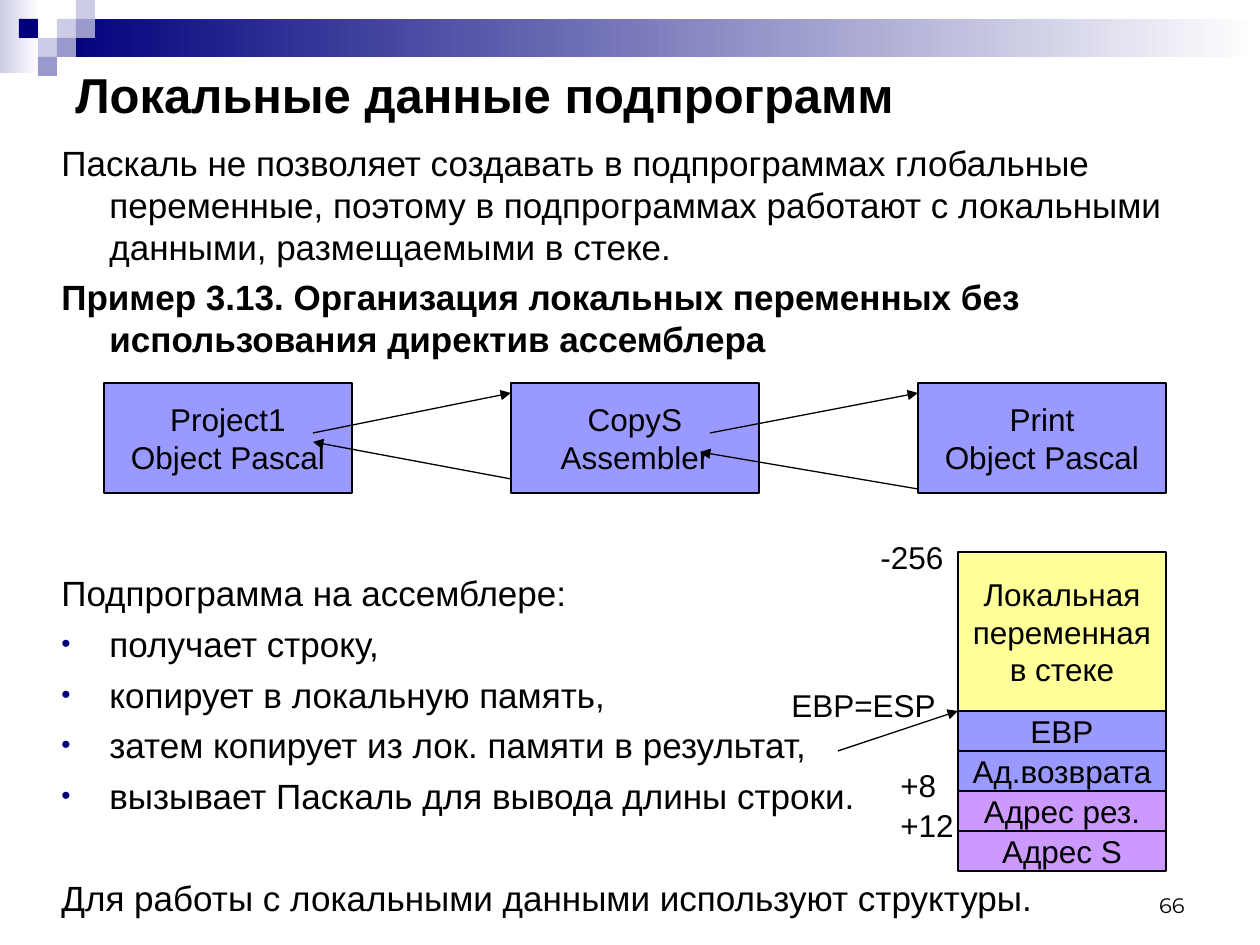
import pptx
import pptx.dml.color
import pptx.enum.shapes
import pptx.enum.text
import pptx.oxml
import pptx.oxml.ns
import pptx.util
from lxml import etree

PX = 7257  # EMU in one px, 126 px to the inch
ALIGN = pptx.enum.text.PP_ALIGN
ANCHOR = pptx.enum.text.MSO_ANCHOR
qn = pptx.oxml.ns.qn


def rgb(value):
    return pptx.dml.color.RGBColor.from_string(value)


def add_text(tf, text, size=18, font="Arial", bold=False, align=ALIGN.LEFT,
             before=0, hanging=0, bullet=False):
    """Write one paragraph, reusing the empty first one of the frame."""
    p = tf.paragraphs[0]
    if p.runs:
        p = tf.add_paragraph()
    pPr = p._p.get_or_add_pPr()
    if hanging:
        pPr.set("marL", str(hanging * PX))
        pPr.set("indent", str(-hanging * PX))
    p.alignment = align
    p.space_before = pptx.util.Pt(before)
    if bullet:
        color = etree.SubElement(pPr, qn("a:buClr"))
        etree.SubElement(color, qn("a:srgbClr"), val="00007D")
        etree.SubElement(pPr, qn("a:buSzPct"), val="75000")
        etree.SubElement(pPr, qn("a:buFont"), typeface="Arial")
        etree.SubElement(pPr, qn("a:buChar"), char="•")
    r = p.add_run()
    r.text = text
    r.font.size = pptx.util.Pt(size)
    r.font.name = font
    r.font.bold = bold
    r.font.color.rgb = rgb("000000")


prs = pptx.Presentation()
prs.slide_width = pptx.util.Inches(10)
prs.slide_height = pptx.util.Inches(7.5)
s = prs.slides.add_slide(prs.slide_layouts[6])

# Header: two gradient bands and a mosaic of squares
NAVY, PALE, MID = "00007D", "CCCCE6", "9999CC"
rects = [(0, 0, 39, 73, (PALE, "FFFFFF"), []),
         (57, 19, 1203, 38, (NAVY, "FFFFFF"), [])]
for col, row, fill in [(3, 1, PALE), (4, 0, PALE), (4, 1, MID), (2, 2, PALE),
                       (1, 1, NAVY), (3, 2, MID), (2, 3, MID)]:
    rects.append((col * 19, row * 19, 19, 19, fill, []))

# Modules of the program
BLUE, VIOLET, YELLOW = "9999FF", "CC99FF", "FFFF99"
modules = [("Project1", "Object Pascal"), ("СopyS", "Assembler"),
           ("Print", "Object Pascal")]
for i, lines in enumerate(modules):
    rects.append((104 + i * 407, 383, 248, 110, BLUE, lines))

# Stack
stack = [("EBP", BLUE), ("Aд.возврата", BLUE), ("Адрес рез.", VIOLET),
         ("Адрес S", VIOLET)]
rects.append((958, 552, 208, 159, YELLOW,
              ["Локальная", "переменная", "в стеке"]))
for i, (name, fill) in enumerate(stack):
    rects.append((958, 711 + i * 40, 208, 40, fill, [name]))

for x, y, w, h, fill, lines in rects:
    sp = s.shapes.add_shape(pptx.enum.shapes.MSO_SHAPE.RECTANGLE,
                            x * PX, y * PX, w * PX, h * PX)
    sp.shadow.inherit = False
    if isinstance(fill, tuple):
        sp.fill.gradient()
        sp.fill.gradient_angle = 0
        for stop, color in zip(sp.fill.gradient_stops, fill):
            stop.color.rgb = rgb(color)
    else:
        sp.fill.solid()
        sp.fill.fore_color.rgb = rgb(fill)
    if not lines:
        sp.line.fill.background()
        continue
    sp.line.color.rgb = rgb("000000")
    sp.line.width = pptx.util.Pt(0.75)
    tf = sp.text_frame
    tf.word_wrap = False
    tf.vertical_anchor = ANCHOR.MIDDLE
    for line in lines:
        add_text(tf, line, align=ALIGN.CENTER)

# Title, page number and stack labels
labels = [
    (63, 63, 1134, 62, "Локальные данные подпрограмм", ANCHOR.MIDDLE,
     dict(size=28, bold=True)),
    (903, 861, 294, 63, "66", ANCHOR.BOTTOM,
     dict(size=12, font="Montserrat", align=ALIGN.RIGHT)),
    (868, 532, 88, 50, "-256", ANCHOR.TOP, {}),
    (779, 680, 176, 50, "EBP=ESP", ANCHOR.TOP, {}),
    (888, 760, 88, 50, "+8", ANCHOR.TOP, {}),
    (888, 800, 98, 50, "+12", ANCHOR.TOP, {}),
]
for x, y, w, h, text, anchor, fmt in labels:
    tf = s.shapes.add_textbox(x * PX, y * PX, w * PX, h * PX).text_frame
    tf.word_wrap = True
    tf.vertical_anchor = anchor
    add_text(tf, text, **fmt)

# Body text, with room left for the module diagram
body = [
    ("Паскаль не позволяет создавать в подпрограммах глобальные переменные, "
     "поэтому в подпрограммах работают с локальными данными, размещаемыми "
     "в стеке.", dict(before=0)),
    ("Пример 3.13. Организация локальных переменных без использования "
     "директив ассемблера", dict(bold=True)),
    ("Подпрограмма на ассемблере:", dict(before=121)),
    ("получает строку,", dict(bullet=True)),
    ("копирует в локальную память,", dict(bullet=True)),
    ("затем копирует из лок. памяти в результат,", dict(bullet=True)),
    ("вызывает Паскаль для вывода длины строки.", dict(bullet=True)),
    ("Для работы с локальными данными используют структуры.",
     dict(before=34)),
]
tf = s.shapes.add_textbox(49 * PX, 135 * PX, 1211 * PX, 784 * PX).text_frame
tf.word_wrap = True
for text, fmt in body:
    add_text(tf, text, **{"size": 20, "before": 5, "hanging": 48, **fmt})

# Calls, returns and the stack pointer
arrows = [(313, 433, 511, 393), (511, 479, 313, 442), (710, 433, 918, 393),
          (918, 489, 700, 452), (838, 751, 958, 711)]
for x1, y1, x2, y2 in arrows:
    c = s.shapes.add_connector(pptx.enum.shapes.MSO_CONNECTOR.STRAIGHT,
                               x1 * PX, y1 * PX, x2 * PX, y2 * PX)
    c.line.color.rgb = rgb("000000")
    c.line.width = pptx.util.Pt(0.75)
    etree.SubElement(c.line._get_or_add_ln(), qn("a:tailEnd"),
                     type="triangle")
    etree.SubElement(c._element.spPr, qn("a:effectLst"))

prs.save("out.pptx")
